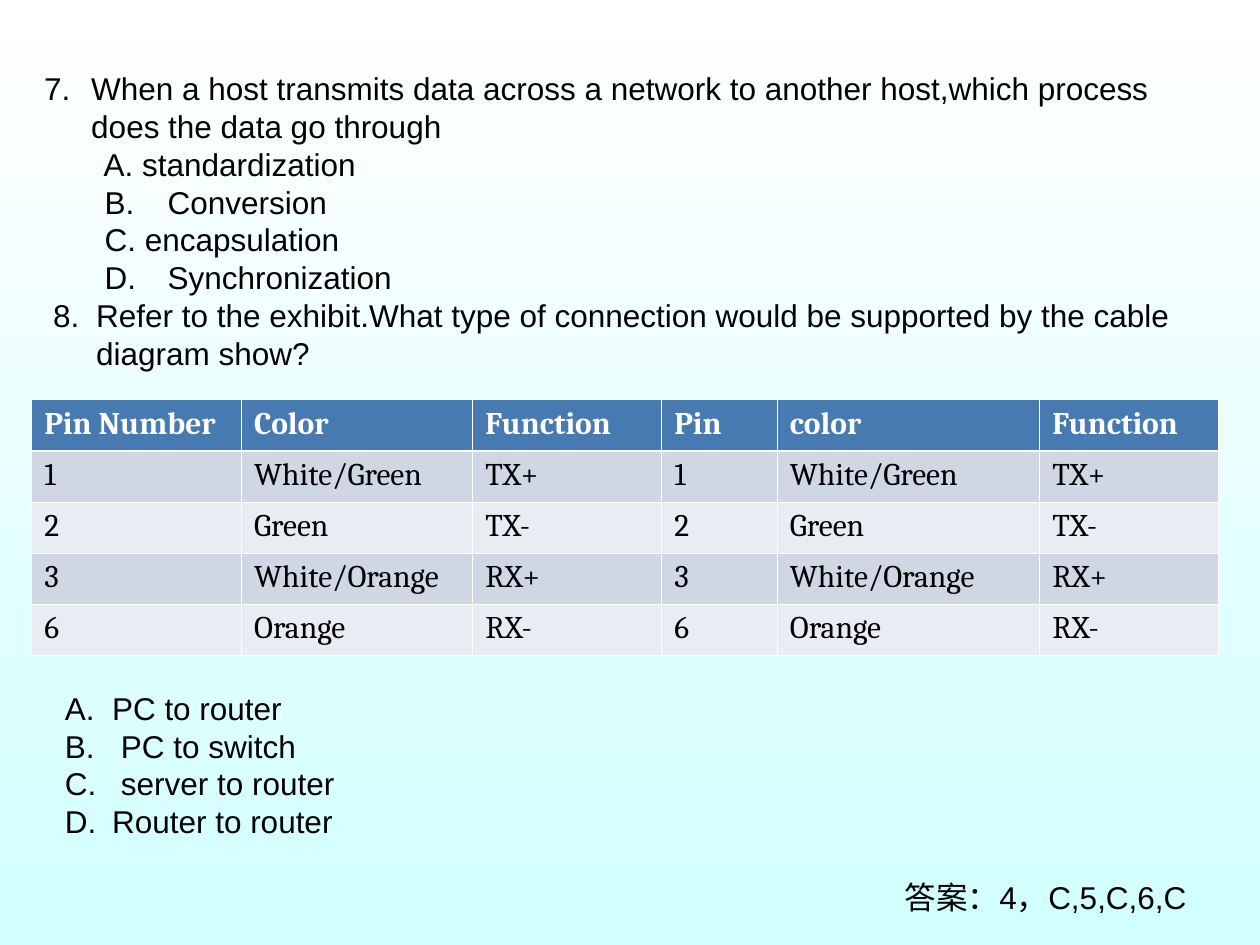
from lxml.etree import SubElement
from pptx import Presentation
from pptx.dml.color import RGBColor
from pptx.oxml import parse_xml
from pptx.oxml.ns import nsdecls, qn
from pptx.util import Cm, Pt

COLORS = {
    "bg_top": "FFFFFF",
    "bg_bottom": "D2FFFF",
    "text": "000000",
    "head": "477AB1",
    "head_text": "FFFFFF",
    "odd": "CFD7E4",
    "even": "E9ECF2",
    "border": "FFFFFF",
}

# Each paragraph: text, left margin, first-line indent, tab stop (cm), numbering
QUESTIONS = [
    ("When a host transmits data across a network to another host,which process "
     "does the data go through", 0.95, -0.95, None, ("arabicPeriod", 7)),
    ("A. standardization", 1.2, 0, None, None),
    ("B.\tConversion", 1.22, 0, 2.2, None),
    ("C. encapsulation", 1.22, 0, None, None),
    ("D.\tSynchronization", 1.22, 0, 2.2, None),
    ("8.\tRefer to the exhibit.What type of connection would be supported by the "
     "cable diagram show?", 1.05, -0.87, None, None),
]
ANSWERS = [
    (text, margin, -margin, None, ("alphaUcPeriod", 1))
    for text, margin in [("PC to router", 0.95), ("PC to switch", 1.13),
                         ("server to router", 1.13), ("Router to router", 0.95)]
]
KEY = [("答案：4，C,5,C,6,C", 0, 0, None, None)]

HEADER = ["Pin Number", "Color", "Function", "Pin", "color", "Function"]
PINS = [
    ["1", "White/Green", "TX+"],
    ["2", "Green", "TX-"],
    ["3", "White/Orange", "RX+"],
    ["6", "Orange", "RX-"],
]
COL_WIDTHS = [4.23, 4.66, 3.81, 2.33, 5.29, 3.61]
ROW_HEIGHT = 1.03


def rgb(name):
    return RGBColor.from_string(COLORS[name])


def style_font(p, name, color, bold=False):
    for r in p.runs:
        r.font.name = name
        r.font.size = Pt(18)
        r.font.bold = bold
        r.font.color.rgb = rgb(color)


def set_background(s):
    fill = s.background.fill
    fill.gradient()
    fill.gradient_angle = 270
    for stop, position, name in zip(fill.gradient_stops, (0, 1),
                                    ("bg_top", "bg_bottom")):
        stop.position = position
        stop.color.rgb = rgb(name)


def format_paragraph(p, margin, indent, tab, numbering):
    pPr = p._p.get_or_add_pPr()
    pPr.set("marL", str(Cm(margin)))
    pPr.set("indent", str(Cm(indent)))
    if numbering:
        scheme, start = numbering
        SubElement(pPr, qn("a:buFont"), typeface="Arial")
        SubElement(pPr, qn("a:buAutoNum"), type=scheme, startAt=str(start))
    if tab:
        tabs = SubElement(pPr, qn("a:tabLst"))
        SubElement(tabs, qn("a:tab"), pos=str(Cm(tab)), algn="l")


def add_text(s, left, top, width, height, paragraphs):
    sp = s.shapes.add_textbox(Cm(left), Cm(top), Cm(width), Cm(height))
    tf = sp.text_frame
    tf.word_wrap = True
    for i, (text, *layout) in enumerate(paragraphs):
        p = tf.add_paragraph() if i else tf.paragraphs[0]
        p.text = text
        format_paragraph(p, *layout)
        style_font(p, "Arial", "text")


def set_borders(cell, top, bottom):
    tcPr = cell._tc.get_or_add_tcPr()
    widths = {"lnL": 0.45, "lnR": 0.45, "lnT": top, "lnB": bottom}
    for i, (side, width) in enumerate(widths.items()):
        tcPr.insert(i, parse_xml(
            f'<a:{side} {nsdecls("a")} w="{Pt(width)}"><a:solidFill>'
            f'<a:srgbClr val="{COLORS["border"]}"/></a:solidFill></a:{side}>'))


def add_pin_table(s, left, top):
    # Both cable ends carry the same pins
    rows = [HEADER] + [pin * 2 for pin in PINS]
    table = s.shapes.add_table(len(rows), len(HEADER), Cm(left), Cm(top),
                               Cm(sum(COL_WIDTHS)), Cm(ROW_HEIGHT * len(rows))).table
    for col, width in zip(table.columns, COL_WIDTHS):
        col.width = Cm(width)
    for i, row in enumerate(rows):
        table.rows[i].height = Cm(ROW_HEIGHT)
        is_head = i == 0
        fill = "head" if is_head else ("odd" if i % 2 else "even")
        for j, text in enumerate(row):
            cell = table.cell(i, j)
            cell.text = text
            style_font(cell.text_frame.paragraphs[0], "Cambria",
                       "head_text" if is_head else "text", is_head)
            cell.fill.solid()
            cell.fill.fore_color.rgb = rgb(fill)
            set_borders(cell, 1.47 if i == 1 else 0.45, 1.47 if is_head else 0.45)


def main():
    prs = Presentation()
    prs.slide_width, prs.slide_height = Cm(25.4), Cm(19.05)
    s = prs.slides.add_slide(prs.slide_layouts[6])
    set_background(s)

    # Questions 7 and 8
    add_text(s, 0.64, 1.27, 23.93, 7.11, QUESTIONS)
    # Cable exhibit
    add_pin_table(s, 0.64, 8.06)
    # Choices for question 8
    add_text(s, 1.06, 13.76, 23.5, 3.3, ANSWERS)
    # Answer key
    add_text(s, 17.99, 17.57, 6.99, 1.03, KEY)

    prs.save("out.pptx")


if __name__ == "__main__":
    main()
